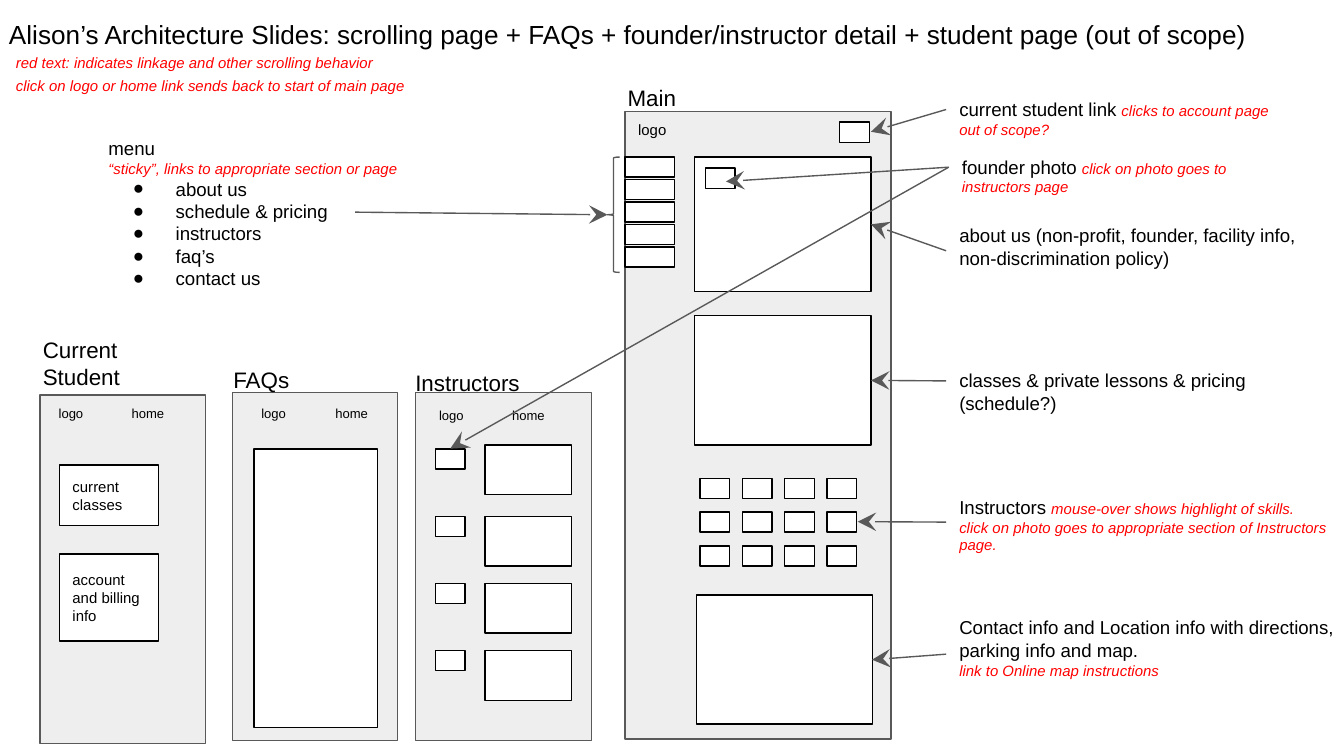
"""Build the site architecture wireframe slide."""
from lxml import etree
from pptx import Presentation
from pptx.dml.color import RGBColor
from pptx.enum.shapes import MSO_CONNECTOR, MSO_SHAPE
from pptx.enum.text import MSO_ANCHOR, MSO_AUTO_SIZE, PP_ALIGN
from pptx.oxml.ns import qn
from pptx.util import Cm, Pt

RECTANGLE = MSO_SHAPE.RECTANGLE
LEFT_BRACE = MSO_SHAPE.LEFT_BRACE
STRAIGHT = MSO_CONNECTOR.STRAIGHT
TOP, MIDDLE = MSO_ANCHOR.TOP, MSO_ANCHOR.MIDDLE
LEFT = PP_ALIGN.LEFT
NO_AUTOFIT = MSO_AUTO_SIZE.NONE

COLORS = {"ink": "000000", "note": "FF0000", "page": "EEEEEE",
          "paper": "FFFFFF", "outline": "595959"}
FRAME_FORMAT = {"word_wrap": True, "auto_size": NO_AUTOFIT,
                "margin_left": Cm(0.25), "margin_right": Cm(0.25),
                "margin_top": Cm(0.25), "margin_bottom": Cm(0.25)}
PARAGRAPH_FORMAT = {"alignment": LEFT, "space_before": Pt(0),
                    "space_after": Pt(0), "line_spacing": 1.0}
THUMB = (0.56, 0.38)
HEADING = (2.49, 0.94)


def rgb(name):
    """Return the named colour."""
    return RGBColor.from_string(COLORS[name])


def apply(target, values):
    """Set each attribute of the target from the format values."""
    for attribute, value in values.items():
        setattr(target, attribute, value)


def place(box, left, top, width, height):
    """Return an area given relative to the box, as an absolute area."""
    return box[0] + left, box[1] + top, width, height


def lengths(values):
    """Convert centimetre values to slide lengths."""
    return [Cm(value) for value in values]


def plain(text, size):
    """Return a black run."""
    return text, {"size": Pt(size), "italic": False}, "ink"


def note(text):
    """Return a red italic run."""
    return text, {"size": Pt(8), "italic": True}, "note"


def write(frame, paragraphs, anchor=TOP):
    """Fill a text frame with paragraphs made of runs."""
    apply(frame, {**FRAME_FORMAT, "vertical_anchor": anchor})
    for index, runs in enumerate(paragraphs):
        paragraph = frame.add_paragraph() if index else frame.paragraphs[0]
        apply(paragraph, PARAGRAPH_FORMAT)
        for text, style, color in runs:
            run = paragraph.add_run()
            run.text = text
            apply(run.font, {"name": "Arial", "bold": False, **style})
            run.font.color.rgb = rgb(color)


def add_text(slide, area, *paragraphs):
    """Add a text box."""
    write(slide.shapes.add_textbox(*lengths(area)).text_frame, paragraphs)


def add_block(slide, area, fill="paper", line="ink", label=None):
    """Add an outlined rectangle, with a label if one is given."""
    block = slide.shapes.add_shape(RECTANGLE, *lengths(area))
    block.shadow.inherit = False
    block.fill.solid()
    block.fill.fore_color.rgb = rgb(fill)
    block.line.color.rgb = rgb(line)
    block.line.width = Pt(0.75)
    if label:
        write(block.text_frame, [[plain(label, 8)]], MIDDLE)


def add_arrow(slide, tip, tail):
    """Add a line with a stealth arrowhead at its tip."""
    arrow = slide.shapes.add_connector(STRAIGHT, *lengths(tip + tail))
    arrow.line.color.rgb = rgb("outline")
    arrow.line.width = Pt(0.75)
    etree.SubElement(arrow.line._get_or_add_ln(), qn("a:headEnd"),
                     type="stealth", w="lg", len="lg")
    etree.SubElement(arrow._element.spPr, qn("a:effectLst"))


def add_header(slide):
    """Fill the title and the two lines that explain the red text."""
    title = slide.shapes.title
    apply(title, dict(zip(("left", "top", "width", "height"),
                          lengths((-0.08, 0.1, 24.89, 1.5)))))
    write(title.text_frame, [[plain(
        "Alison’s Architecture Slides: scrolling page + FAQs + "
        "founder/instructor detail + student page (out of scope)", 14)]])
    hints = ("red text: indicates linkage and other scrolling behavior",
             "click on logo or home link sends back to start of main page")
    for row, hint in enumerate(hints):
        add_text(slide, (0.05, 0.76 + row * 0.43, 12.93, 0.79), [note(hint)])


def add_menu(slide, box):
    """Fill the bulleted menu list and point it at the main page."""
    menu = slide.placeholders[1]
    apply(menu, dict(zip(("left", "top", "width", "height"), lengths(box))))
    sections = ("about us", "schedule & pricing", "instructors", "faq’s",
                "contact us")
    intro = [[plain("menu ", 10)],
             [note("“sticky”, links to appropriate section or page")]]
    write(menu.text_frame, intro + [[plain(name, 10)] for name in sections])
    for index, paragraph in enumerate(menu.text_frame.paragraphs):
        listed = index >= len(intro)
        properties = paragraph._p.get_or_add_pPr()
        properties.set("marL", str(Cm(1.27 if listed else 0)))
        properties.set("indent", str(Cm(-0.81 if listed else 0)))
        if listed:
            etree.SubElement(properties, qn("a:buChar"), char="●")
        else:
            etree.SubElement(properties, qn("a:buNone"))
    add_arrow(slide, (11.48, 4.06), (box[0] + 4.91, box[1] + 1.67))


def add_main_page(slide, box):
    """Draw the main page with its menu, sections and instructor grid."""
    add_block(slide, box, "page", "outline")
    add_text(slide, place(box, -0.2, -0.76, *HEADING), [plain("Main", 12)])
    add_text(slide, place(box, 0, -0.08, 1.63, 0.94), [plain("logo", 8)])
    for row in range(5):
        add_block(slide, place(box, 0, 0.86 + row * 1.7 / 4, 0.94, 0.38))
    sections = ((1.32, 0.86, 3.33, 2.54), (1.32, 3.86, 3.33, 2.44),
                (1.35, 9.14, 3.33, 2.44))
    student_link, founder_photo = (4.06, 0.2, *THUMB), (1.52, 1.07, *THUMB)
    for part in (*sections, student_link, founder_photo):
        add_block(slide, place(box, *part))
    for row in range(3):
        for column in range(4):
            add_block(slide, place(box, 1.42 + column * 0.8,
                                   6.93 + row * 0.64, *THUMB))
    brace = slide.shapes.add_shape(
        LEFT_BRACE, *lengths(place(box, -0.33, 0.86, 0.23, 2.18)))
    brace.shadow.inherit = False
    brace.fill.background()
    brace.line.color.rgb = rgb("outline")
    brace.line.width = Pt(0.75)


def add_subpage(slide, box, name, heading, links, blocks):
    """Draw a smaller page with its heading, two links and blocks."""
    add_block(slide, box, "page", "outline")
    add_text(slide, place(box, *heading), [plain(name, 12)])
    left, top, step = links
    for column, link in enumerate(("logo", "home")):
        add_text(slide, place(box, left + column * step, top, 1.42, 0.69),
                 [plain(link, 7)])
    for area, label in blocks:
        add_block(slide, place(box, *area), label=label)


def add_annotation(slide, box, paragraphs, tips):
    """Add a remark with arrows from its left edge to the tips."""
    add_text(slide, box, *paragraphs)
    for tip in tips:
        add_arrow(slide, tip, (box[0], box[1] + box[3] / 2))


prs = Presentation()
prs.slide_width, prs.slide_height = Cm(25.4), Cm(14.29)
slide = prs.slides.add_slide(prs.slide_layouts[1])

add_header(slide)
add_main_page(slide, (11.81, 2.11, 5.03, 11.86))
add_menu(slide, (1.8, 2.34, 6.22, 3.56))

photos = [((0.38, 1.07 + row * 1.27, *THUMB), None) for row in range(4)]
details = [((1.32, top, 1.63, 0.94), None) for top in (0.99, 2.34, 3.61, 4.88)]
SUBPAGES = (
    ((0.76, 7.47, 3.12, 6.58), "Current Student", (-0.2, -1.37, 2.67, 1.37),
     (0.1, -0.05, 1.38), [((0.36, 1.32, 1.88, 1.14), "current classes"),
                          ((0.36, 3, 1.88, 1.65), "account and billing info")]),
    ((4.39, 7.42, 3.12, 6.58), "FAQs", (-0.23, -0.74, *HEADING),
     (0.3, 0, 1.4), [((0.41, 1.07, 2.34, 5.26), None)]),
    ((7.85, 7.42, 3.33, 6.58), "Instructors", (-0.25, -0.69, *HEADING),
     (0.2, 0.03, 1.38), photos + details),
)
for subpage in SUBPAGES:
    add_subpage(slide, *subpage)

ANNOTATIONS = (
    ((17.88, 1.6, 6.76, 0.94), [[plain("current student link ", 10), note(
        "clicks to account page out of scope?")]], [(16.46, 2.49)]),
    ((17.93, 2.69, 6.76, 0.94), [[plain("founder photo ", 10), note(
        "click on photo goes to instructors page")]],
     [(13.72, 3.43), (8.51, 8.48)]),
    ((17.88, 3.99, 7.26, 1.5), [[plain(
        "about us (non-profit, founder, facility info, "
        "non-discrimination policy)", 10)]], [(16.46, 4.24)]),
    ((17.88, 6.73, 7.26, 0.94), [[plain(
        "classes & private lessons & pricing (schedule?)", 10)]],
     [(16.46, 7.19)]),
    ((17.88, 9.12, 7.47, 1.5), [[plain("Instructors ", 10), note(
        "mouse-over shows highlight of skills. click on photo goes to "
        "appropriate section of Instructors page.")]], [(16.21, 9.86)]),
    ((17.88, 11.4, 7.57, 1.93), [[plain(
        "Contact info and Location info with directions, parking info "
        "and map.", 10)], [note("link to Online map instructions")]],
     [(16.48, 12.47)]),
)
for annotation in ANNOTATIONS:
    add_annotation(slide, *annotation)

prs.save("out.pptx")
